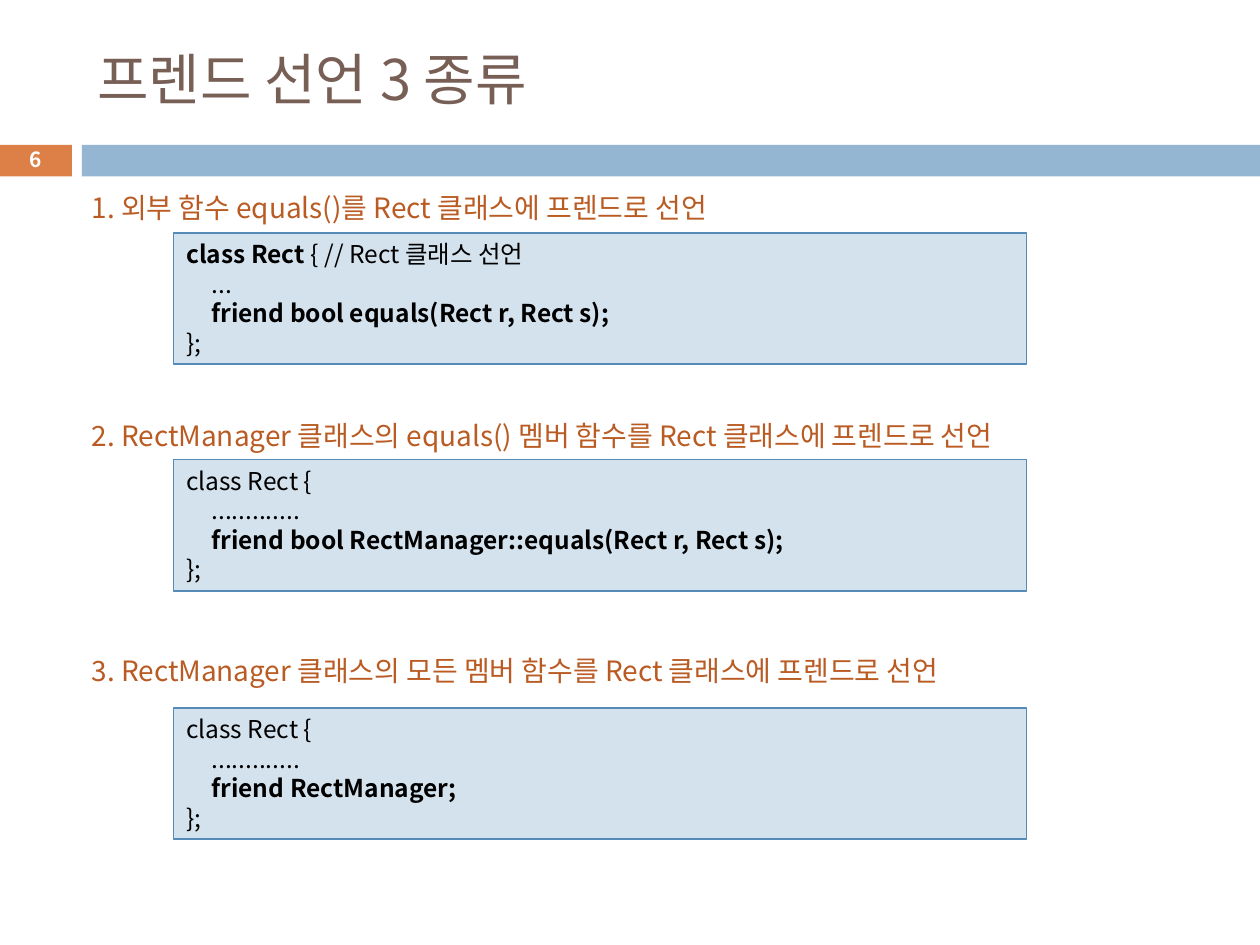
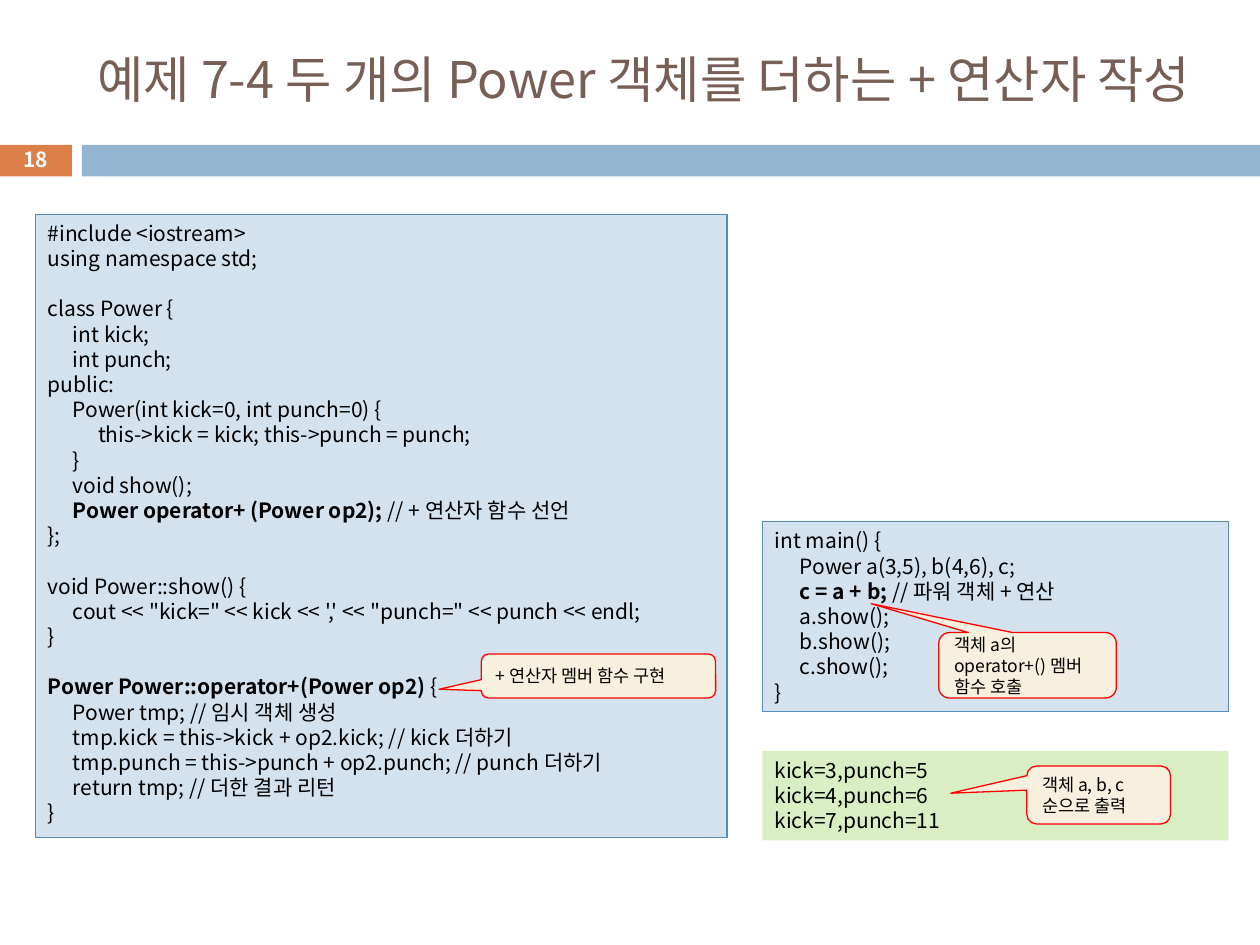
from dataclasses import dataclass

from lxml import etree
from pptx import Presentation
from pptx.dml.color import RGBColor
from pptx.enum.shapes import MSO_SHAPE
from pptx.enum.text import MSO_ANCHOR, MSO_AUTO_SIZE, PP_ALIGN
from pptx.oxml.ns import qn
from pptx.util import Inches, Pt

RECT = MSO_SHAPE.RECTANGLE
BUBBLE = MSO_SHAPE.ROUNDED_RECTANGULAR_CALLOUT
TOP, MIDDLE = MSO_ANCHOR.TOP, MSO_ANCHOR.MIDDLE
LEFT, CENTER = PP_ALIGN.LEFT, PP_ALIGN.CENTER
FIXED = MSO_AUTO_SIZE.NONE

FACE = "Noto Sans CJK KR"
BLACK, WHITE = "000000", "FFFFFF"
BROWN, RUST = "775F55", "B95B22"
ORANGE, BLUE = "DD8047", "94B6D2"
PALE, EDGE = "D4E2ED", "558BB8"
GREEN, CREAM, RED = "DAEEC4", "F7F0DE", "FF0000"
LEADING = 1.2
INDENT = Inches(0.2)


@dataclass
class Box:
    left: float
    top: float
    width: float
    height: float

    def place(self) -> tuple:
        return tuple(map(Inches, (self.left, self.top, self.width, self.height)))


@dataclass
class Style:
    size: float
    color: str = BLACK
    align: PP_ALIGN = LEFT
    anchor: MSO_ANCHOR = TOP


@dataclass
class Panel:
    box: Box
    text: str
    size: float
    fill: str = PALE
    line: str = EDGE


@dataclass
class Topic:
    head: str
    top: float
    width: float
    panel: Panel


@dataclass
class Note:
    box: Box
    text: str
    tip: tuple[float, float]


def color(code: str) -> RGBColor:
    return RGBColor.from_string(code)


def write(shape, text: str, style: Style) -> None:
    frame = shape.text_frame
    frame.word_wrap = True
    frame.auto_size = FIXED
    frame.vertical_anchor = style.anchor
    pitch = Pt(round(style.size * LEADING, 1))
    para, gap = frame.paragraphs[0], False
    for row, line in enumerate(text.split("\n")):
        if not line:
            gap = True
            continue
        if row:
            para = frame.add_paragraph()
        para.alignment = style.align
        para.line_spacing = pitch
        para.space_before = pitch if gap else Pt(0)
        gap = False
        font = para.font
        font.name, font.size = FACE, Pt(style.size)
        font.color.rgb = color(style.color)
        props = para._p.get_or_add_pPr()
        etree.SubElement(props.find(qn("a:defRPr")), qn("a:ea"), typeface=FACE)
        code = line.lstrip("\t")
        props.set("marL", str(INDENT * (len(line) - len(code))))
        props.set("indent", "0")
        for part, words in enumerate(code.split("**")):
            if words:
                run = para.add_run()
                run.text = words
                run.font.bold = part % 2 == 1


def draw(slide, kind: MSO_SHAPE, box: Box, fill: str, line: str = ""):
    shape = slide.shapes.add_shape(kind, *box.place())
    shape.shadow.inherit = False
    shape.fill.solid()
    shape.fill.fore_color.rgb = color(fill)
    if line:
        shape.line.color.rgb = color(line)
        shape.line.width = Pt(0.75)
    else:
        shape.line.fill.background()
    return shape


def label(slide, box: Box, text: str, style: Style) -> None:
    write(slide.shapes.add_textbox(*box.place()), text, style)


def block(slide, panel: Panel) -> None:
    shape = draw(slide, RECT, panel.box, panel.fill, panel.line)
    write(shape, panel.text, Style(panel.size))


def callout(slide, note: Note) -> None:
    shape = draw(slide, BUBBLE, note.box, CREAM, RED)
    shape.adjustments[0], shape.adjustments[1] = note.tip
    write(shape, note.text, Style(10, anchor=MIDDLE))


def start(deck, title: str, size: float, number: int):
    slide = deck.slides.add_slide(deck.slide_layouts[5])
    draw(slide, RECT, Box(-0.01, 1.15, 0.58, 0.25), ORANGE)
    draw(slide, RECT, Box(0.65, 1.15, 9.35, 0.25), BLUE)
    head = slide.shapes.title
    head.left, head.top, head.width, head.height = Box(0.67, 0.25, 8.92, 0.74).place()
    write(head, title, Style(size, BROWN, anchor=MIDDLE))
    label(slide, Box(-0.01, 1.13, 0.58, 0.27), f"**{number}**",
          Style(11.9, WHITE, CENTER, MIDDLE))
    return slide


def sample(top: float, text: str) -> Panel:
    return Panel(Box(1.38, top, 6.77, 1.04), text, 14)


TOPICS = [
    Topic("1. 외부 함수 equals()를 Rect 클래스에 프렌드로 선언", 1.46, 5.52, sample(1.85, """\
**class Rect **{ // Rect 클래스 선언
\t...
\t**friend bool equals(Rect r, Rect s);**
};""")),
    Topic("2. RectManager 클래스의 equals() 멤버 함수를 Rect 클래스에 프렌드로 선언", 3.27, 7.92,
          sample(3.65, """\
class Rect {
\t.............
\t**friend bool RectManager::equals(Rect r, Rect s);**
};""")),
    Topic("3. RectManager 클래스의 모든 멤버 함수를 Rect 클래스에 프렌드로 선언", 5.14, 7.57,
          sample(5.62, """\
class Rect {
\t.............
\t**friend RectManager;**
};""")),
]

POWER = """\
#include <iostream>
using namespace std;

class Power {
\tint kick;
\tint punch;
public:
\tPower(int kick=0, int punch=0) {
\t\tthis->kick = kick; this->punch = punch;
\t}
\tvoid show();
\t**Power operator+ (Power op2); **// + 연산자 함수 선언
};

void Power::show() {
\tcout << "kick=" << kick << ',' << "punch=" << punch << endl;
}

**Power Power::operator+(Power op2) **{
\tPower tmp; // 임시 객체 생성
\ttmp.kick = this->kick + op2.kick; // kick 더하기
\ttmp.punch = this->punch + op2.punch; // punch 더하기
\treturn tmp; // 더한 결과 리턴
}"""

MAIN = """\
int main() {
\tPower a(3,5), b(4,6), c;
\t**c = a + b; **// 파워 객체 + 연산
\ta.show();
\tb.show();
\tc.show();
}"""

OUTPUT = """\
kick=3,punch=5
kick=4,punch=6
kick=7,punch=11"""

PANELS = [
    Panel(Box(0.28, 1.7, 5.49, 4.95), POWER, 12),
    Panel(Box(6.05, 4.14, 3.7, 1.51), MAIN, 12),
    Panel(Box(6.05, 5.96, 3.7, 0.71), OUTPUT, 12, GREEN, ""),
]

NOTES = [
    Note(Box(3.82, 5.19, 1.86, 0.35), "+ 연산자 멤버 함수 구현", (-0.68, 0.3)),
    Note(Box(8.15, 6.08, 1.14, 0.46), "객체 a, b, c 순으로 출력", (-1.03, -0.03)),
    Note(Box(7.45, 5.02, 1.41, 0.52), "객체 a의\noperator+() 멤버\n함수 호출", (-0.88, -0.94)),
]


def friends(deck) -> None:
    slide = start(deck, "프렌드 선언 3 종류", 32, 6)
    for topic in TOPICS:
        block(slide, topic.panel)
        label(slide, Box(0.63, topic.top, topic.width, 0.37), topic.head, Style(16, RUST))


def adding(deck) -> None:
    slide = start(deck, "예제 7-4 두 개의 Power 객체를 더하는 + 연산자 작성", 28.8, 18)
    for panel in PANELS:
        block(slide, panel)
    for note in NOTES:
        callout(slide, note)


def main() -> None:
    deck = Presentation()
    deck.slide_width, deck.slide_height = Inches(10), Inches(7.5)
    friends(deck)
    adding(deck)
    deck.save("out.pptx")


if __name__ == "__main__":
    main()
